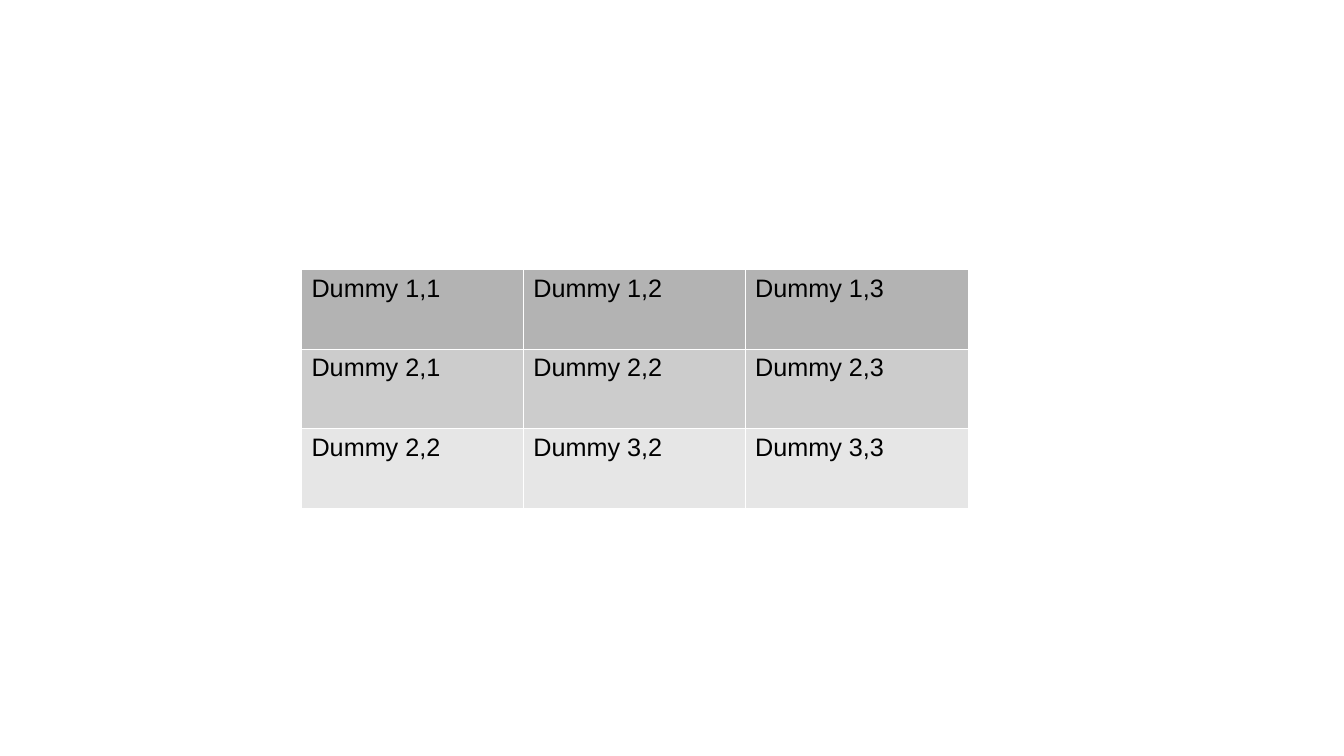
from lxml import etree
from pptx import Presentation
from pptx.dml.color import RGBColor
from pptx.oxml.ns import qn
from pptx.util import Inches, Pt

ROWS = [
    ("dark", ["Dummy 1,1", "Dummy 1,2", "Dummy 1,3"]),
    ("mid", ["Dummy 2,1", "Dummy 2,2", "Dummy 2,3"]),
    ("light", ["Dummy 2,2", "Dummy 3,2", "Dummy 3,3"]),
]
COLORS = {
    "dark": "B3B3B3",
    "mid": "CCCCCC",
    "light": "E6E6E6",
    "border": "FFFFFF",
    "text": "000000",
}
LEFT, TOP = 2.99, 2.67
COL_WIDTHS = [2.2, 2.2, 2.21]
ROW_HEIGHT = 0.79
BORDER_WIDTH = Pt(0.06)


def add_borders(cell):
    tc_pr = cell._tc.get_or_add_tcPr()
    for side in ("a:lnL", "a:lnR", "a:lnT", "a:lnB"):
        ln = etree.SubElement(tc_pr, qn(side), w=str(BORDER_WIDTH))
        fill = etree.SubElement(ln, qn("a:solidFill"))
        etree.SubElement(fill, qn("a:srgbClr"), val=COLORS["border"])


def fill_cell(cell, text, color):
    add_borders(cell)
    cell.fill.solid()
    cell.fill.fore_color.rgb = RGBColor.from_string(COLORS[color])
    cell.margin_left = cell.margin_right = Inches(0.1)
    cell.margin_top = cell.margin_bottom = Inches(0.05)
    r = cell.text_frame.paragraphs[0].add_run()
    r.text = text
    r.font.name = "Arial"
    r.font.size = Pt(18)
    r.font.color.rgb = RGBColor.from_string(COLORS["text"])


def main():
    prs = Presentation()
    prs.slide_width, prs.slide_height = Inches(13.33), Inches(7.5)
    s = prs.slides.add_slide(prs.slide_layouts[6])
    table = s.shapes.add_table(
        len(ROWS), len(COL_WIDTHS), Inches(LEFT), Inches(TOP),
        Inches(sum(COL_WIDTHS)), Inches(ROW_HEIGHT * len(ROWS)),
    ).table
    table.first_row = False
    table.horz_banding = False
    for column, width in zip(table.columns, COL_WIDTHS):
        column.width = Inches(width)
    for row, (color, texts) in zip(table.rows, ROWS):
        row.height = Inches(ROW_HEIGHT)
        for cell, text in zip(row.cells, texts):
            fill_cell(cell, text, color)
    prs.save("out.pptx")


if __name__ == "__main__":
    main()
